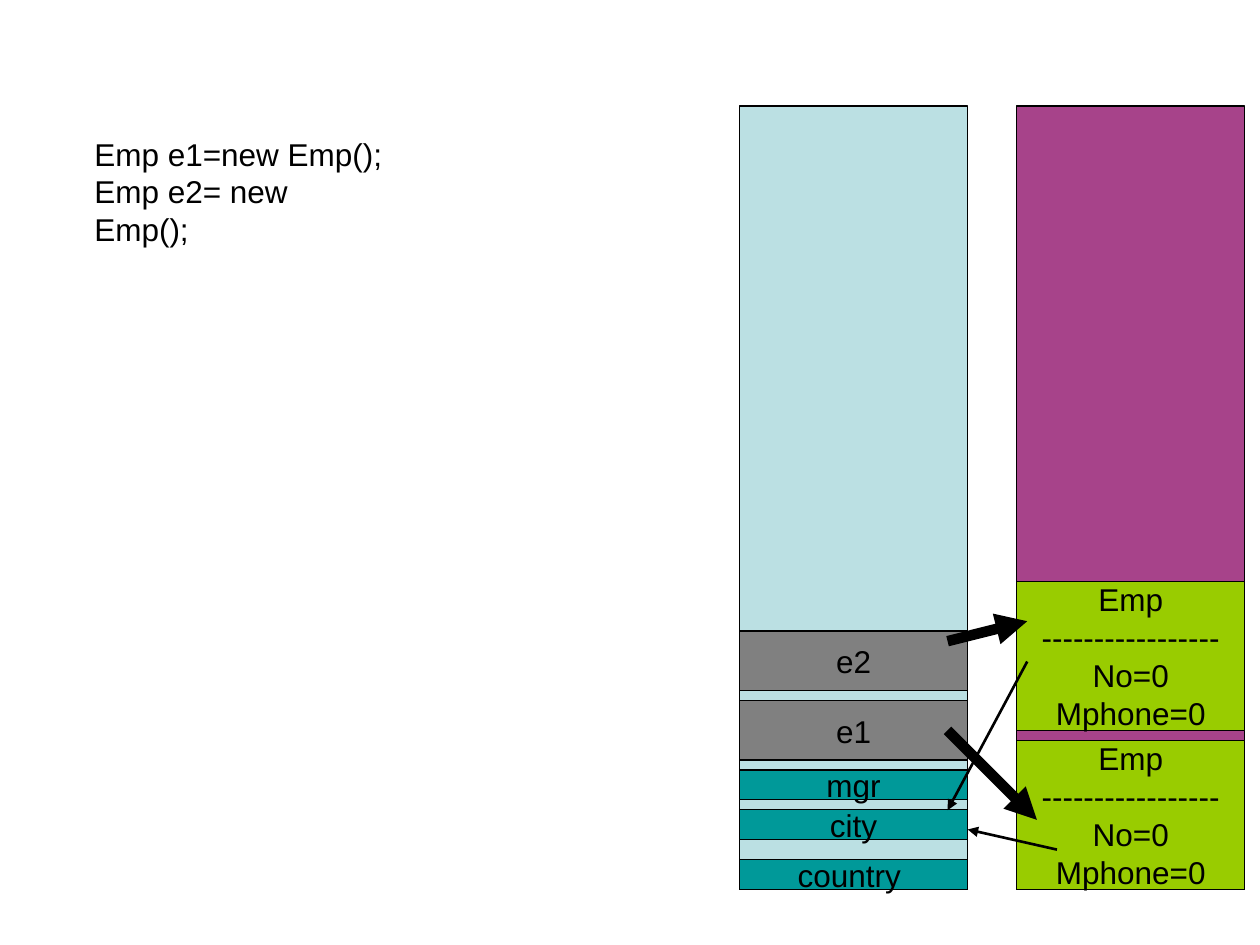
from lxml import etree
from pptx import Presentation
from pptx.dml.color import RGBColor
from pptx.enum import shapes, text
from pptx.oxml import ns
from pptx.util import Pt

BLACK = RGBColor(0x00, 0x00, 0x00)
PALE_BLUE = RGBColor(0xBB, 0xE0, 0xE3)
PURPLE = RGBColor(0xA7, 0x43, 0x8A)
GRAY = RGBColor(0x80, 0x80, 0x80)
TEAL = RGBColor(0x00, 0x99, 0x99)
GREEN = RGBColor(0x99, 0xCC, 0x00)

CODE = ["Emp e1=new Emp();", "Emp e2= new Emp();"]
EMP = ["Emp", "-----------------", "No=0", "Mphone=0"]

STACK_LEFT, HEAP_LEFT = 422.6, 581
MEMORY_TOP, MEMORY_HEIGHT, MEMORY_WIDTH = 60.5, 447.8, 130.4
REFERENCE_HEIGHT, STATIC_HEIGHT, OBJECT_HEIGHT = 34, 17.1, 85.1

MEMORY = [
    (STACK_LEFT, MEMORY_TOP, MEMORY_HEIGHT, PALE_BLUE, []),
    (HEAP_LEFT, MEMORY_TOP, MEMORY_HEIGHT, PURPLE, []),
    (STACK_LEFT, 360.6, REFERENCE_HEIGHT, GRAY, ["e2"]),
    (STACK_LEFT, 400.4, REFERENCE_HEIGHT, GRAY, ["e1"]),
    (STACK_LEFT, 440, STATIC_HEIGHT, TEAL, ["mgr"]),
    (STACK_LEFT, 462.7, STATIC_HEIGHT, TEAL, ["city"]),
    (STACK_LEFT, 491.1, STATIC_HEIGHT, TEAL, ["country "]),
    (HEAP_LEFT, 332.4, OBJECT_HEIGHT, GREEN, EMP),
    (HEAP_LEFT, 423.1, OBJECT_HEIGHT, GREEN, EMP),
]
ARROWS = [
    ((541.5, 417.4), (592.5, 468.5), 6),
    ((604, 485.5), (553, 474), 1.5),
    ((587, 378), (541.5, 463), 1.5),
    ((541.5, 366.4), (587, 355), 6),
]


def write(frame, lines, align, anchor):
    frame.word_wrap = False
    frame.vertical_anchor = anchor
    frame.text = "\n".join(lines)
    for paragraph in frame.paragraphs:
        paragraph.alignment = align
        for key, value in {"name": "Arial", "size": Pt(18)}.items():
            setattr(paragraph.font, key, value)
        paragraph.font.color.rgb = BLACK


def add_block(slide, left, top, height, color, lines):
    block = slide.shapes.add_shape(
        shapes.MSO_SHAPE.RECTANGLE, Pt(left), Pt(top), Pt(MEMORY_WIDTH), Pt(height))
    block.shadow.inherit = False
    block.fill.solid()
    block.fill.fore_color.rgb = color
    block.line.color.rgb = BLACK
    block.line.width = Pt(0.75)
    if lines:
        write(block.text_frame, lines, text.PP_ALIGN.CENTER, text.MSO_ANCHOR.MIDDLE)


def add_arrow(slide, start, end, width):
    arrow = slide.shapes.add_connector(
        shapes.MSO_CONNECTOR.STRAIGHT, *(Pt(value) for value in start + end))
    arrow.line.color.rgb = BLACK
    arrow.line.width = Pt(width)
    etree.SubElement(arrow.line._get_or_add_ln(), ns.qn("a:tailEnd"), type="triangle")
    etree.SubElement(arrow._element.spPr, ns.qn("a:effectLst"))


def main():
    deck = Presentation()
    deck.slide_width, deck.slide_height = Pt(720), Pt(540)
    slide = deck.slides.add_slide(deck.slide_layouts[6])
    code = slide.shapes.add_textbox(Pt(46.8), Pt(73.4), Pt(183.6), Pt(72))
    write(code.text_frame, CODE, text.PP_ALIGN.LEFT, text.MSO_ANCHOR.TOP)
    for block in MEMORY:
        add_block(slide, *block)
    for arrow in ARROWS:
        add_arrow(slide, *arrow)
    deck.save("out.pptx")


if __name__ == "__main__":
    main()
